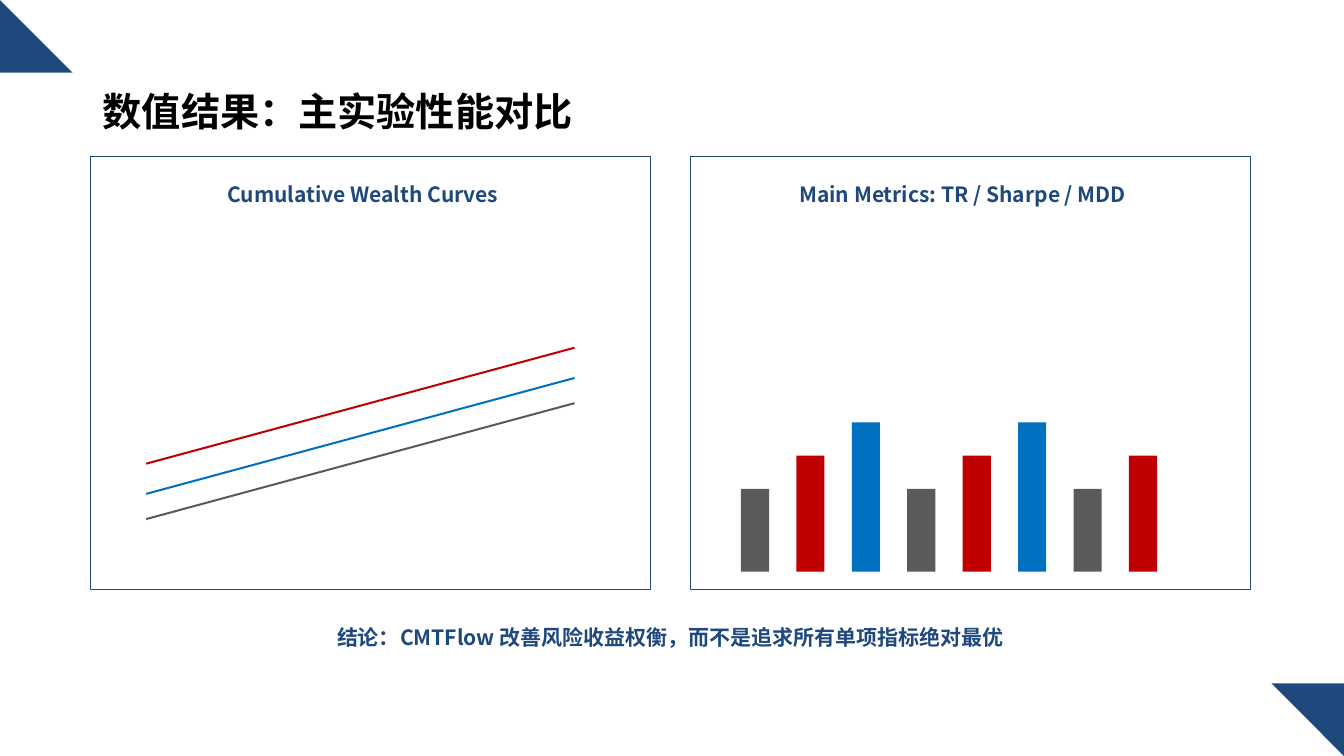
from dataclasses import dataclass

from lxml import etree
from pptx import Presentation
from pptx import util as u
from pptx.dml import color
from pptx.enum import shapes, text
from pptx.oxml import ns


@dataclass(frozen=True)
class Theme:
    """Colours, font and type sizes of the deck."""
    navy: str = "1F497D"
    white: str = "FFFFFF"
    black: str = "000000"
    red: str = "C00000"
    blue: str = "0070C0"
    gray: str = "5A5A5A"
    font: str = "Noto Sans CJK SC"
    title_size: float = 28
    body_size: float = 15


THEME = Theme()
SLIDE_W, SLIDE_H = 960, 540


def rgb(value):
    """Turn a hex string into a colour."""
    return color.RGBColor.from_string(value)


def points(*values):
    """Turn numbers into lengths in points."""
    return [u.Pt(v) for v in values]


def write_text(sp, content, size=THEME.body_size, fill=THEME.navy,
               align=text.PP_ALIGN.CENTER, spacing=None):
    """Write one bold paragraph into a shape."""
    p = sp.text_frame.paragraphs[0]
    p.alignment = align
    p.line_spacing = spacing
    r = p.add_run()
    r.text = content
    r.font.name = THEME.font
    r.font.size = u.Pt(size)
    r.font.bold = True
    r.font.color.rgb = rgb(fill)
    ea = etree.SubElement(r.font._element, ns.qn("a:ea"))
    ea.set("typeface", THEME.font)


def add_label(s, box, content):
    """Place a centred label in a box."""
    sp = s.shapes.add_textbox(*points(*box))
    tf = sp.text_frame
    tf.word_wrap = True
    tf.auto_size = text.MSO_AUTO_SIZE.SHAPE_TO_FIT_TEXT
    tf.margin_left = tf.margin_right = tf.margin_top = tf.margin_bottom = u.Pt(3.6)
    write_text(sp, content)


def add_block(s, box, fill, kind=shapes.MSO_SHAPE.RECTANGLE, outline=None):
    """Place a filled shape, outlined on request."""
    sp = s.shapes.add_shape(kind, *points(*box))
    sp.shadow.inherit = False
    sp.fill.solid()
    sp.fill.fore_color.rgb = rgb(fill)
    if outline:
        sp.line.color.rgb = rgb(outline)
        sp.line.width = u.Pt(0.5)
    else:
        sp.line.fill.background()
    return sp


def add_curve(s, x1, y1, x2, y2, stroke):
    """Draw one straight curve segment."""
    line = s.shapes.add_connector(shapes.MSO_CONNECTOR.STRAIGHT,
                                  *points(x1, y1, x2, y2))
    line.line.color.rgb = rgb(stroke)
    line.line.width = u.Pt(1.44)
    etree.SubElement(line._element.spPr, ns.qn("a:effectLst"))


def add_title(s, box, content):
    """Move and format the title placeholder."""
    sp = s.shapes.title
    sp.left, sp.top, sp.width, sp.height = points(*box)
    tf = sp.text_frame
    tf.word_wrap = True
    tf.auto_size = text.MSO_AUTO_SIZE.NONE
    tf.vertical_anchor = text.MSO_ANCHOR.MIDDLE
    write_text(sp, content, size=THEME.title_size, fill=THEME.black,
               align=text.PP_ALIGN.LEFT, spacing=0.9)


def add_corners(s, box, side=51.84):
    """Place triangles in two opposite corners of the box."""
    x, y, w, h = box
    for left, top, turn in ((x, y, 0), (x + w - side, y + h - side, 180)):
        sp = add_block(s, (left, top, side, side), THEME.navy,
                       shapes.MSO_SHAPE.RIGHT_TRIANGLE)
        sp.rotation = turn


def add_panel(s, box, heading):
    """Draw a framed panel with its heading."""
    x, y, w, h = box
    add_block(s, box, THEME.white, outline=THEME.navy)
    add_label(s, (x + 18, y + 14.4, w - 46.8, 21.6), heading)


def add_wealth_panel(s, box):
    """Draw the panel of rising wealth curves."""
    x, y, w, h = box
    add_panel(s, box, "Cumulative Wealth Curves")
    curves = ((219.6, THEME.red), (241.2, THEME.blue), (259.2, THEME.gray))
    for start, stroke in curves:
        add_curve(s, x + 39.6, y + start, x + w - 54, y + start - 82.8, stroke)


def add_metrics_panel(s, box, bars=8, pitch=39.6):
    """Draw the panel of metric bars on a common base."""
    x, y, w, h = box
    add_panel(s, box, "Main Metrics: TR / Sharpe / MDD")
    fills = (THEME.gray, THEME.red, THEME.blue)
    base = y + h - 12.96
    for i in range(bars):
        step = i % len(fills)
        height = 59.04 + 23.76 * step
        add_block(s, (x + 36 + i * pitch, base - height, 20.16, height), fills[step])


def build_results_slide(prs):
    """Build the slide that compares the main results."""
    s = prs.slides.add_slide(prs.slide_layouts[5])
    add_title(s, (66.24, 28.8, 828, 104.4), "数值结果：主实验性能对比")
    add_corners(s, (0, 0, SLIDE_W, SLIDE_H))
    left, top, width, height, gap = 64.8, 111.6, 399.6, 309.6, 28.8
    add_wealth_panel(s, (left, top, width, height))
    add_metrics_panel(s, (left + width + gap, top, width, height))
    add_label(s, (72, 442.8, 813.6, 27.36),
              "结论：CMTFlow 改善风险收益权衡，而不是追求所有单项指标绝对最优")


def main():
    """Create and save the deck."""
    prs = Presentation()
    prs.slide_width, prs.slide_height = points(SLIDE_W, SLIDE_H)
    build_results_slide(prs)
    prs.save("out.pptx")


if __name__ == "__main__":
    main()
